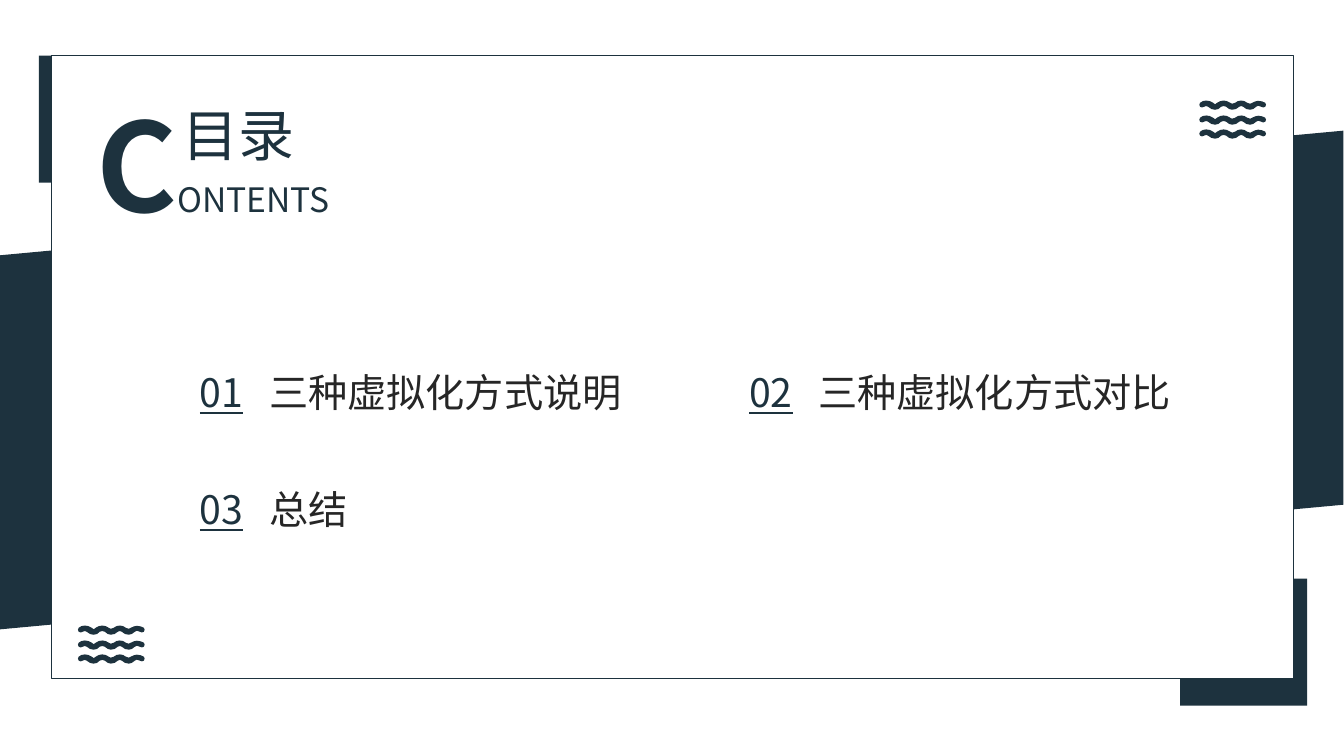
from lxml.etree import SubElement
from pptx import Presentation
from pptx.dml.color import RGBColor
from pptx.enum.shapes import MSO_SHAPE as Shape
from pptx.enum.text import MSO_AUTO_SIZE as AutoSize, PP_ALIGN as Align
from pptx.oxml.ns import qn
from pptx.util import Pt

PX = 9525
PAGE_WIDTH, PAGE_HEIGHT = 1280, 720
NAVY, INK, WHITE = "1D323E", "262626", "FFFFFF"
FONT = "Noto Sans CJK SC"
TOPICS = [("三种虚拟化方式说明", 357), ("三种虚拟化方式对比", 396), ("总结", 399)]
WAVE_GRID = (67, 39)
WAVE_ROWS = (0, 15, 29)
WAVE_START = (33, 9)
WAVE_CURVES = [
    (36, 9, 38, 8, 40, 6), (41, 5, 43, 5, 44, 6), (46, 8, 48, 9, 51, 9),
    (53, 9, 55, 8, 57, 6), (58, 6, 58, 5, 59, 5), (60, 5, 61, 6, 62, 6),
    (63, 7, 65, 7, 66, 6), (67, 5, 67, 3, 66, 2), (64, 1, 62, 0, 59, 0),
    (57, 0, 55, 1, 53, 2), (52, 3, 52, 3, 51, 3), (50, 3, 49, 3, 48, 2),
    (45, -1, 39, -1, 36, 2), (35, 3, 34, 3, 33, 3), (32, 3, 32, 3, 31, 2),
    (27, -1, 22, -1, 18, 2), (17, 4, 15, 4, 14, 2), (10, -1, 4, -1, 1, 2),
    (0, 3, 0, 5, 1, 6), (2, 7, 4, 7, 5, 6), (6, 5, 8, 5, 9, 6),
    (13, 10, 19, 10, 22, 6), (23, 5, 26, 5, 27, 6), (29, 8, 31, 9, 33, 9),
]


def emu(length):
    """Turn px into EMU."""
    return length * PX


def color(value):
    """Turn a hex string into a colour."""
    return RGBColor.from_string(value)


def paint(shape, fill, line=None):
    """Give a shape a flat fill and an optional thin outline."""
    shape.shadow.inherit = False
    shape.fill.solid()
    shape.fill.fore_color.rgb = color(fill)
    if line:
        shape.line.color.rgb = color(line)
        shape.line.width = Pt(1)
    else:
        shape.line.fill.background()


def add_block(page, box, fill, line=None, kind=Shape.RECTANGLE):
    """Draw a preset shape in the box."""
    shape = page.shapes.add_shape(kind, *map(emu, box))
    paint(shape, fill, line)
    return shape


def add_text(page, box, spans, align=None):
    """Write one paragraph of (text, size, colour, format) spans."""
    frame = page.shapes.add_textbox(*map(emu, box)).text_frame
    frame.word_wrap = True
    frame.auto_size = AutoSize.SHAPE_TO_FIT_TEXT
    para = frame.paragraphs[0]
    para.alignment = align
    for text, size, ink, extra in spans:
        span = para.add_run()
        span.text = text
        span.font.color.rgb = color(ink)
        for name, value in {"size": Pt(size), "name": FONT, **extra}.items():
            setattr(span.font, name, value)
        SubElement(span.font._element, qn("a:ea"), typeface=FONT)


def add_step(outline, tag, values, shift):
    """Append one outline command, moved down by shift."""
    command = SubElement(outline, qn(tag))
    for x, y in zip(values[::2], values[1::2]):
        SubElement(command, qn("a:pt"), x=str(x), y=str(y + shift))


def add_waves(page, box):
    """Draw three stacked waves as a single curved shape."""
    left, top, width, height = box
    builder = page.shapes.build_freeform(left, top, scale=PX)
    builder.add_line_segments([(left + width, top + height)])
    shape = builder.convert_to_shape()
    outline = next(shape.element.iter(qn("a:path")))
    for command in list(outline):
        outline.remove(command)
    for name, size in zip("wh", WAVE_GRID):
        outline.set(name, str(size))
    for shift in WAVE_ROWS:
        add_step(outline, "a:moveTo", WAVE_START, shift)
        for curve in WAVE_CURVES:
            add_step(outline, "a:cubicBezTo", curve, shift)
        add_step(outline, "a:close", (), shift)
    paint(shape, NAVY)


def add_backdrop(page, box):
    """Draw the slanted band, the corner squares and the framed card."""
    left, top, width, height = box
    side, band = 121, 475
    add_block(page, (left - 12, top, side, side), NAVY)
    add_block(page, (left + width + 13 - side, top + height + 26 - side, side, side), NAVY)
    band_box = ((PAGE_WIDTH - band) // 2, -278, band, PAGE_WIDTH)
    slant = add_block(page, band_box, NAVY, kind=Shape.PARALLELOGRAM)
    slant.rotation = 270
    slant.element.spPr.xfrm.set("flipV", "1")
    add_block(page, box, WHITE, NAVY)
    add_waves(page, (left + 25, top + height - 50, 64, 37))
    add_waves(page, (left + width - 90, top + 43, 64, 37))


def add_heading(page, box):
    """Write the heading with its large initial."""
    left, top, width, height = box
    add_text(page, box, [("C", 88, NAVY, {"bold": True}),
                         ("ONTENTS", 24, NAVY, {"bold": False})], Align.CENTER)
    add_text(page, (left + 135, top + 11, 161, 74), [("目录", 40, NAVY, {})], Align.JUSTIFY)


def add_topics(page, box):
    """Lay the numbered topics out in two columns."""
    left, top, width, height = box
    row_height, indent = 55, 66
    column, row_gap = width // 2, height - row_height
    for index, (topic, topic_width) in enumerate(TOPICS):
        x = left + index % 2 * column
        y = top + index // 2 * row_gap
        add_text(page, (x, y, 91, row_height),
                 [(f"{index + 1:02}", 28, NAVY, {"underline": True})])
        add_text(page, (x + indent, y, topic_width, row_height), [(topic, 28, INK, {})])


def main():
    """Build the contents slide and save it."""
    deck = Presentation()
    deck.slide_width, deck.slide_height = emu(PAGE_WIDTH), emu(PAGE_HEIGHT)
    page = deck.slides.add_slide(deck.slide_layouts[6])
    add_backdrop(page, (49, 53, 1183, 593))
    add_heading(page, (29, 80, 348, 152))
    add_topics(page, (181, 346, 1046, 166))
    deck.save("out.pptx")


if __name__ == "__main__":
    main()
